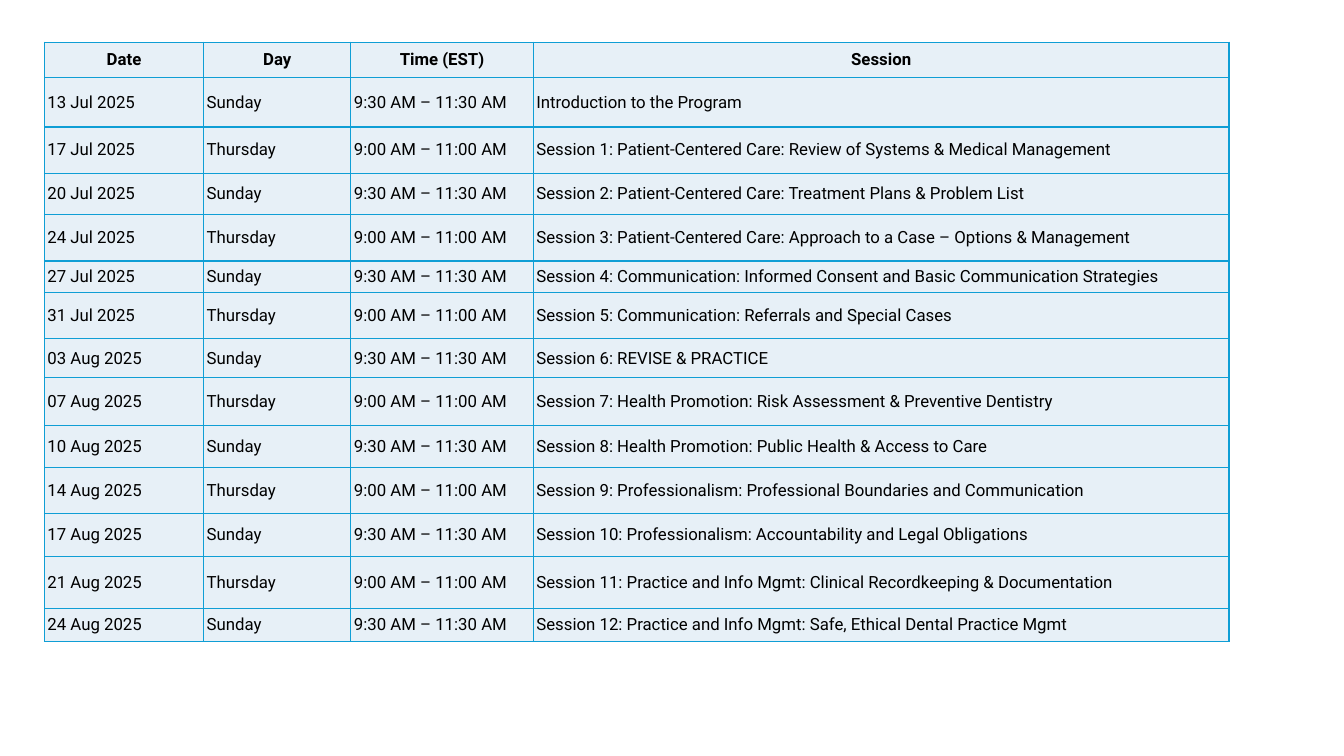
from lxml import etree
from pptx import Presentation
from pptx.dml.color import RGBColor
from pptx.enum import text
from pptx.oxml import ns
from pptx.util import Inches, Pt

HUES = {"ink": "000000", "cell": "E7F0F7", "rule": "0F9ED5"}
HEADS = ["Date", "Day", "Time (EST)", "Session"]
SLOTS = [("Sunday", "9:30 AM – 11:30 AM"), ("Thursday", "9:00 AM – 11:00 AM")]
PLAN = [
    ("13 Jul", "Introduction to the Program"),
    ("17 Jul", "Patient-Centered Care: Review of Systems & Medical Management"),
    ("20 Jul", "Patient-Centered Care: Treatment Plans & Problem List"),
    ("24 Jul", "Patient-Centered Care: Approach to a Case – Options & Management"),
    ("27 Jul", "Communication: Informed Consent and Basic Communication Strategies"),
    ("31 Jul", "Communication: Referrals and Special Cases"),
    ("03 Aug", "REVISE & PRACTICE"),
    ("07 Aug", "Health Promotion: Risk Assessment & Preventive Dentistry"),
    ("10 Aug", "Health Promotion: Public Health & Access to Care"),
    ("14 Aug", "Professionalism: Professional Boundaries and Communication"),
    ("17 Aug", "Professionalism: Accountability and Legal Obligations"),
    ("21 Aug", "Practice and Info Mgmt: Clinical Recordkeeping & Documentation"),
    ("24 Aug", "Practice and Info Mgmt: Safe, Ethical Dental Practice Mgmt"),
]
WIDTHS = [1.58, 1.46, 1.81, 6.9]
HEIGHTS = [0.35, 0.49, 0.46, 0.41, 0.46, 0.31, 0.46,
           0.39, 0.47, 0.42, 0.46, 0.42, 0.52, 0.33]


def write(frame, words, size=12, font="Roboto", hue="ink", bold=False, align="LEFT"):
    para = frame.paragraphs[0]
    para.alignment = getattr(text.PP_ALIGN, align)
    run = para.add_run()
    run.text = words
    run.font.size, run.font.name, run.font.bold = Pt(size), font, bold
    run.font.color.rgb = RGBColor.from_string(HUES[hue])


class Deck:
    def __init__(self, wide, high):
        self.show = Presentation()
        self.show.slide_width, self.show.slide_height = Inches(wide), Inches(high)
        self.slide = self.show.slides.add_slide(self.show.slide_layouts[6])

    def edge(self, cell, width=1):
        props = cell._tc.get_or_add_tcPr()
        for side in ("lnL", "lnR", "lnT", "lnB"):
            line = etree.SubElement(props, ns.qn("a:" + side), w=str(Pt(width)))
            fill = etree.SubElement(line, ns.qn("a:solidFill"))
            etree.SubElement(fill, ns.qn("a:srgbClr"), val=HUES["rule"])

    def cell(self, cell, words, **style):
        cell.margin_left = cell.margin_right = Inches(0.03)
        cell.margin_top = cell.margin_bottom = Inches(0.01)
        cell.vertical_anchor = text.MSO_ANCHOR.MIDDLE
        self.edge(cell)
        cell.fill.solid()
        cell.fill.fore_color.rgb = RGBColor.from_string(HUES["cell"])
        write(cell.text_frame, words, **style)

    def table(self, left, top, widths, heights, rows):
        grid = self.slide.shapes.add_table(
            len(rows), len(widths), Inches(left), Inches(top),
            Inches(sum(widths)), Inches(sum(heights))).table
        grid.horz_banding = False
        for col, wide in zip(grid.columns, widths):
            col.width = Inches(wide)
        for num, (row, high, words) in enumerate(zip(grid.rows, heights, rows)):
            row.height = Inches(high)
            style = {} if num else {"bold": True, "align": "CENTER"}
            for cell, word in zip(row.cells, words):
                self.cell(cell, word, **style)


def main():
    deck = Deck(13.33, 7.5)

    # Schedule rows: days alternate, sessions count up after the introduction
    rows = [HEADS]
    for num, (date, topic) in enumerate(PLAN):
        name = f"Session {num}: {topic}" if num else topic
        rows.append([f"{date} 2025", *SLOTS[num % 2], name])

    # Schedule table
    deck.table(0.44, 0.42, WIDTHS, HEIGHTS, rows)
    deck.show.save("out.pptx")


if __name__ == "__main__":
    main()
